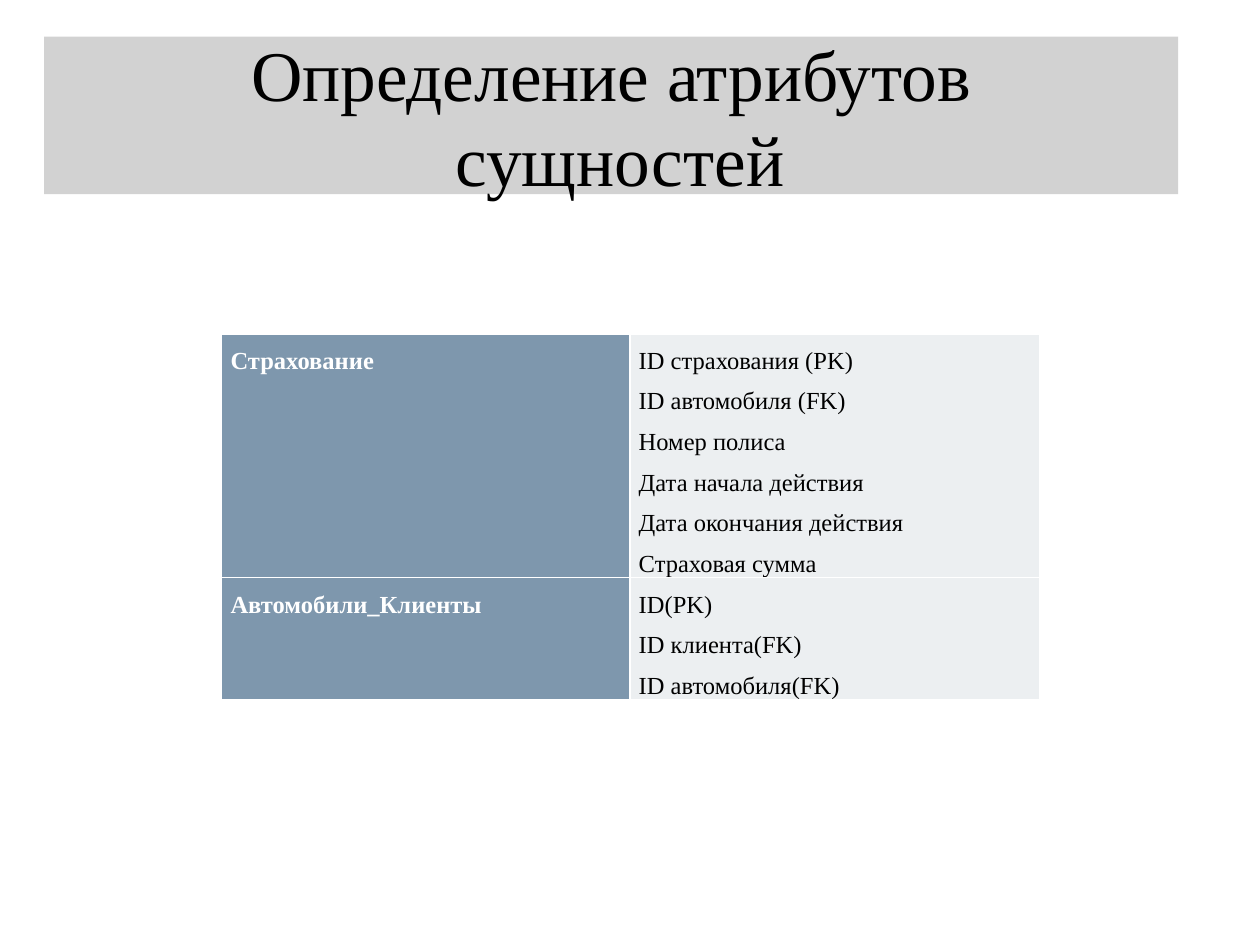
import pptx
import pptx.dml.color
import pptx.enum.text
import pptx.oxml.ns
import pptx.util
import lxml.etree

Inches = pptx.util.Inches
Pt = pptx.util.Pt
ALIGN = pptx.enum.text.PP_ALIGN
qn = pptx.oxml.ns.qn


class EntitySlide:
    font = "Times New Roman"
    colors = {"band": "A6A6A6", "entity": "7E97AD", "attributes": "ECEFF1",
              "dark": "000000", "light": "FFFFFF"}

    def __init__(self, deck):
        self.page = deck.slides.add_slide(deck.slide_layouts[5])

    def color(self, name):
        return pptx.dml.color.RGBColor.from_string(self.colors[name])

    def paint(self, fill, name):
        fill.solid()
        fill.fore_color.rgb = self.color(name)

    def add_lines(self, frame, lines, size, color, align, bold=False, spacing=1.0):
        for index, line in enumerate(lines):
            para = frame.paragraphs[0] if index == 0 else frame.add_paragraph()
            para.alignment = align
            para.line_spacing = spacing
            span = para.add_run()
            span.text = line
            span.font.name = self.font
            span.font.size = Pt(size)
            span.font.bold = bold
            span.font.color.rgb = self.color(color)

    def title(self, lines, left, top, width, height):
        box = self.page.shapes.title
        box.left, box.top = Inches(left), Inches(top)
        box.width, box.height = Inches(width), Inches(height)
        self.paint(box.fill, "band")
        shade = box.element.spPr.find(qn("a:solidFill"))[0]
        lxml.etree.SubElement(shade, qn("a:alpha"), val="50000")
        frame = box.text_frame
        frame.auto_size = pptx.enum.text.MSO_AUTO_SIZE.NONE
        frame.vertical_anchor = pptx.enum.text.MSO_ANCHOR.MIDDLE
        self.add_lines(frame, lines, 40.7, "dark", ALIGN.CENTER)

    def borders(self, cell):
        properties = cell._tc.get_or_add_tcPr()
        for side in ("L", "R", "T", "B"):
            line = lxml.etree.SubElement(properties, qn("a:ln" + side), w=str(Pt(1)))
            fill = lxml.etree.SubElement(line, qn("a:solidFill"))
            lxml.etree.SubElement(fill, qn("a:srgbClr"), val=self.colors["light"])

    def cell(self, cell, lines, fill, color, bold):
        self.borders(cell)
        self.paint(cell.fill, fill)
        cell.margin_left = cell.margin_right = Inches(0.07)
        cell.margin_top = cell.margin_bottom = 0
        self.add_lines(cell.text_frame, lines, 14, color, ALIGN.JUSTIFY, bold, 1.5)

    def table(self, entities, left, top, widths, line_height):
        heights = [line_height * len(attributes) for attributes in entities.values()]
        table = self.page.shapes.add_table(
            len(entities), len(widths), Inches(left), Inches(top),
            Inches(sum(widths)), Inches(sum(heights))).table
        for column, width in zip(table.columns, widths):
            column.width = Inches(width)
        for row, height, (entity, attributes) in zip(table.rows, heights, entities.items()):
            row.height = Inches(height)
            self.cell(row.cells[0], [entity], "entity", "light", True)
            self.cell(row.cells[1], attributes, "attributes", "dark", False)


def main():
    deck = pptx.Presentation()
    deck.slide_width, deck.slide_height = Inches(10), Inches(7.5)
    slide = EntitySlide(deck)
    slide.title(["Определение атрибутов", " сущностей"], 0.35, 0.29, 9, 1.25)
    slide.table({
        "Страхование": ["ID страхования (PK)", "ID автомобиля (FK)", "Номер полиса",
                        "Дата начала действия", "Дата окончания действия",
                        "Страховая сумма"],
        "Автомобили_Клиенты": ["ID(PK)", "ID клиента(FK)", "ID автомобиля(FK)"],
    }, 1.76, 2.65, [3.24, 3.25], 0.32)
    deck.save("out.pptx")


if __name__ == "__main__":
    main()
